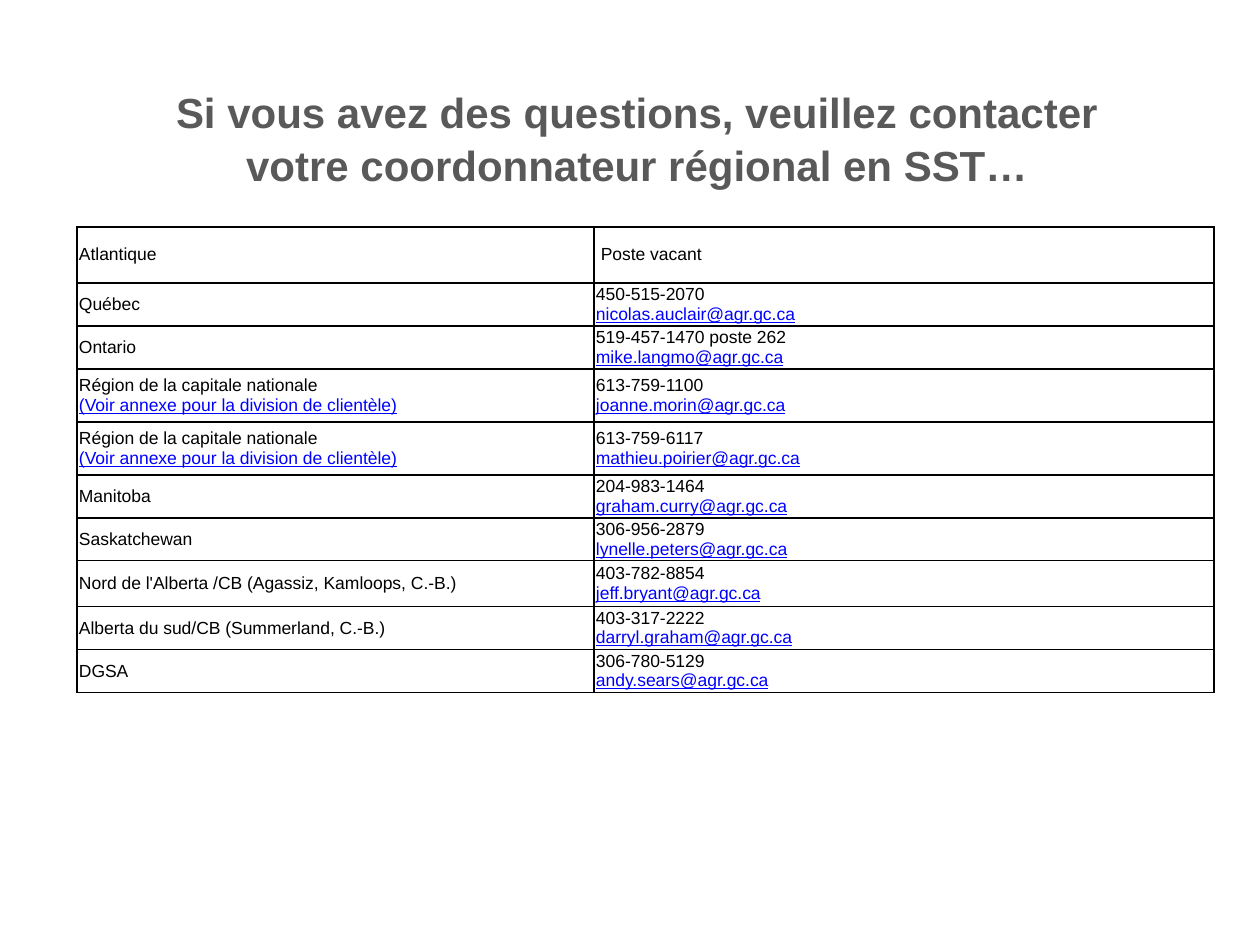
import pptx
import pptx.util
import pptx.dml.color
import pptx.enum.text
import pptx.oxml
import pptx.oxml.ns
from lxml import etree

RGB = pptx.dml.color.RGBColor
BLACK, BLUE, GREY = RGB(0, 0, 0), RGB(0, 0, 255), RGB(0x59, 0x59, 0x59)
ANCHOR = pptx.enum.text.MSO_ANCHOR
ALIGN = pptx.enum.text.PP_ALIGN

# Content: (region lines, contact lines, row height)
TITLE = ("Si vous avez des questions, veuillez contacter "
         "votre coordonnateur régional en SST…")
CAPITAL = ["Région de la capitale nationale ",
           "(Voir annexe pour la division de clientèle)"]
ROWS = [
    (["Atlantique"], ["\u00a0Poste vacant"], 56),
    (["Québec"], ["450-515-2070", "nicolas.auclair@agr.gc.ca"], 43),
    (["Ontario"], ["519-457-1470 poste 262", "mike.langmo@agr.gc.ca"], 43),
    (CAPITAL, ["613-759-1100", "joanne.morin@agr.gc.ca"], 53),
    (CAPITAL, ["613-759-6117", "mathieu.poirier@agr.gc.ca"], 53),
    (["Manitoba"], ["204-983-1464", "graham.curry@agr.gc.ca"], 43),
    (["Saskatchewan"], ["306-956-2879", "lynelle.peters@agr.gc.ca"], 43),
    (["Nord de l'Alberta /CB (Agassiz, Kamloops, C.-B.)"],
     ["403-782-8854", "jeff.bryant@agr.gc.ca"], 46),
    (["Alberta du sud/CB (Summerland, C.-B.)"],
     ["403-317-2222", "darryl.graham@agr.gc.ca"], 43),
    (["DGSA"], ["306-780-5129", "andy.sears@agr.gc.ca"], 43),
]
COLS = [517, 620]


def px(n):
    return pptx.util.Emu(round(n * 914400 / 126))


def add_text(p, text, size=10, color=BLACK, bold=False, underline=False):
    r = p.add_run()
    r.text = text
    f = r.font
    f.name, f.size, f.bold = "Arial", pptx.util.Pt(size), bold
    f.underline, f.color.rgb = underline, color


def add_borders(cell):
    tcPr = cell._tc.get_or_add_tcPr()
    for i, side in enumerate(("lnL", "lnR", "lnT", "lnB")):
        tcPr.insert(i, pptx.oxml.parse_xml(
            f'<a:{side} {pptx.oxml.ns.nsdecls("a")} w="12700"><a:solidFill>'
            f'<a:srgbClr val="{BLACK}"/></a:solidFill></a:{side}>'))


prs = pptx.Presentation()
prs.slide_width, prs.slide_height = px(1260), px(945)
s = prs.slides.add_slide(prs.slide_layouts[5])

# Title
title = s.shapes.title
title.left, title.top, title.width, title.height = px(117), px(78), px(1040), px(62)
tf = title.text_frame
tf.word_wrap = True
tf.auto_size = pptx.enum.text.MSO_AUTO_SIZE.NONE
tf.vertical_anchor = ANCHOR.TOP
p = tf.paragraphs[0]
p.alignment, p.line_spacing = ALIGN.CENTER, 1.05
add_text(p, TITLE, size=24, color=GREY, bold=True)

# Contact table
table = s.shapes.add_table(len(ROWS), len(COLS), px(77), px(227), px(sum(COLS)),
                           px(sum(row[2] for row in ROWS))).table
table.first_row = table.horz_banding = False
for col, width in zip(table.columns, COLS):
    col.width = px(width)
for i, (region, contact, height) in enumerate(ROWS):
    table.rows[i].height = px(height)
    for j, lines in enumerate((region, contact)):
        cell = table.cell(i, j)
        cell.fill.background()
        add_borders(cell)
        cell.vertical_anchor = ANCHOR.MIDDLE
        cell.margin_left = cell.margin_right = px(2)
        cell.margin_top = cell.margin_bottom = px(1)
        p = cell.text_frame.paragraphs[0]
        add_text(p, lines[0])
        # The second line is always a link
        for link in lines[1:]:
            p = cell.text_frame.add_paragraph()
            add_text(p, link, color=BLUE, underline=True)

prs.save("out.pptx")
